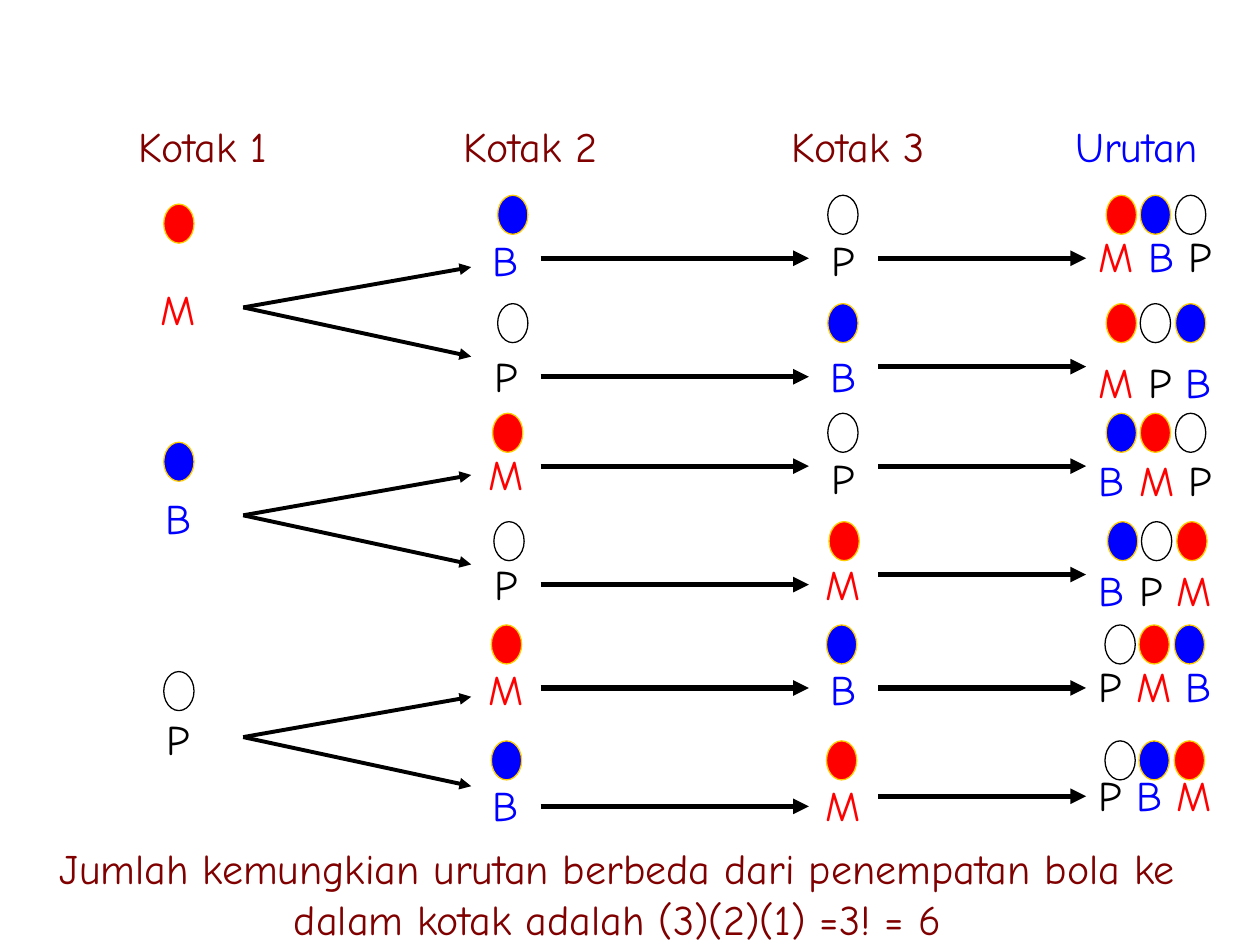
import pptx
import pptx.util
import pptx.dml.color
import pptx.enum.shapes
import pptx.enum.text
import pptx.oxml.ns
import lxml.etree

Inches = pptx.util.Inches

FONT = "Comic Neue"
MAROON, BLUE, RED, BLACK, WHITE, GOLD = "800000", "0000FF", "FF0000", "000000", "FFFFFF", "FFCC00"

HEADINGS = [
    ("Kotak 1", 0.9, MAROON),
    ("Kotak 2", 3.5, MAROON),
    ("Kotak 3", 6.1, MAROON),
    ("Urutan", 8.31, BLUE),
]
CONCLUSION = "Jumlah kemungkian urutan berbeda dari penempatan bola ke dalam kotak adalah (3)(2)(1) =3! = 6"

LETTER_COLOR = {"M": RED, "B": BLUE, "P": BLACK}
BALL_STYLE = {"M": (RED, GOLD), "B": (BLUE, GOLD), "P": (WHITE, BLACK)}

BRANCHES = [
    {"ball": "M", "ball_top": 1.62, "label_top": 2.2, "fork": 2.44},
    {"ball": "B", "ball_top": 3.51, "label_top": 3.86, "fork": 4.09},
    {"ball": "P", "ball_top": 5.33, "label_top": 5.61, "fork": 5.85},
]
# order, ball top, second ball left, order balls left, label tops for box 2, box 3, order
OUTCOMES = [
    ("MBP", 1.55, 3.95, 8.78, (1.81, 1.81, 1.78)),
    ("MPB", 2.41, 3.95, 8.78, (2.73, 2.73, 2.78)),
    ("BMP", 3.28, 3.91, 8.78, (3.51, 3.54, 3.56)),
    ("BPM", 4.14, 3.92, 8.79, (4.38, 4.38, 4.43)),
    ("PMB", 4.96, 3.9, 8.77, (5.22, 5.22, 5.19)),
    ("PBM", 5.88, 3.9, 8.77, (6.14, 6.14, 6.06)),
]
ARROWS = [
    (1.93, 3.74, 0, (-0.32, 0.39), 2.25),
    (4.29, 6.42, None, (-0.39, 0.55), 3),
    (6.97, 8.62, None, (-0.39, 0.47), 3),
]

LABEL_LEFTS = (3.74, 6.42)
ORDER_OFFSETS = (0, 0.27, 0.55)
THIRD_BALL_SHIFT = 2.21


def color(hex_value):
    return pptx.dml.color.RGBColor.from_string(hex_value)


def apply(target, values):
    for name, value in values.items():
        setattr(target, name, value)


def add_text(slide, runs, left, top, width, height=0.5):
    frame = slide.shapes.add_textbox(Inches(left), Inches(top), Inches(width), Inches(height)).text_frame
    apply(frame, {"word_wrap": True, "auto_size": pptx.enum.text.MSO_AUTO_SIZE.SHAPE_TO_FIT_TEXT})
    line = frame.paragraphs[0]
    line.alignment = pptx.enum.text.PP_ALIGN.CENTER
    for words, hex_value in runs:
        run = line.add_run()
        run.text = words
        apply(run.font, {"name": FONT, "size": pptx.util.Pt(24)})
        run.font.color.rgb = color(hex_value)


def add_letter(slide, letter, left, top):
    add_text(slide, [(letter, LETTER_COLOR[letter])], left, top, 0.55)


def add_ball(slide, letter, left, top):
    ball = slide.shapes.add_shape(
        pptx.enum.shapes.MSO_SHAPE.OVAL, Inches(left), Inches(top), Inches(0.24), Inches(0.31))
    ball.shadow.inherit = False
    fill, outline = BALL_STYLE[letter]
    ball.fill.solid()
    ball.fill.fore_color.rgb = color(fill)
    ball.line.color.rgb = color(outline)
    ball.line.width = pptx.util.Pt(0.75)


def add_arrow(slide, start, end, weight):
    arrow = slide.shapes.add_connector(
        pptx.enum.shapes.MSO_CONNECTOR.STRAIGHT, *(Inches(value) for value in start + end))
    arrow.line.color.rgb = color(BLACK)
    arrow.line.width = pptx.util.Pt(weight)
    qn = pptx.oxml.ns.qn
    lxml.etree.SubElement(arrow.line._get_or_add_ln(), qn("a:tailEnd"), type="triangle")
    lxml.etree.SubElement(arrow._element.spPr, qn("a:effectLst"))


def main():
    deck = pptx.Presentation()
    apply(deck, {"slide_width": Inches(10), "slide_height": Inches(7.5)})
    slide = deck.slides.add_slide(deck.slide_layouts[6])

    for heading, left, hex_value in HEADINGS:
        add_text(slide, [(heading, hex_value)], left, 0.91, 1.42)

    for branch in BRANCHES:
        add_letter(slide, branch["ball"], 1.14, branch["label_top"])
        add_ball(slide, branch["ball"], 1.3, branch["ball_top"])
        fork = branch["fork"]
        for start_x, end_x, start_shift, end_shifts, weight in ARROWS:
            for shift in end_shifts:
                start_y = fork + (shift if start_shift is None else start_shift)
                add_arrow(slide, (start_x, start_y), (end_x, fork + shift), weight)

    for order, ball_top, second_left, order_left, label_tops in OUTCOMES:
        for letter, left, top in zip(order[1:], LABEL_LEFTS, label_tops):
            add_letter(slide, letter, left, top)
        runs = [(letter + gap, LETTER_COLOR[letter]) for letter, gap in zip(order, (" ", " ", ""))]
        add_text(slide, runs, 8.62, label_tops[2], 1.1)
        add_ball(slide, order[1], second_left, ball_top)
        add_ball(slide, order[2], order_left - THIRD_BALL_SHIFT, ball_top)
        for letter, offset in zip(order, ORDER_OFFSETS):
            add_ball(slide, letter, order_left + offset, ball_top)

    add_text(slide, [(CONCLUSION, MAROON)], 0, 6.64, 9.8, 0.9)
    deck.save("out.pptx")


if __name__ == "__main__":
    main()
